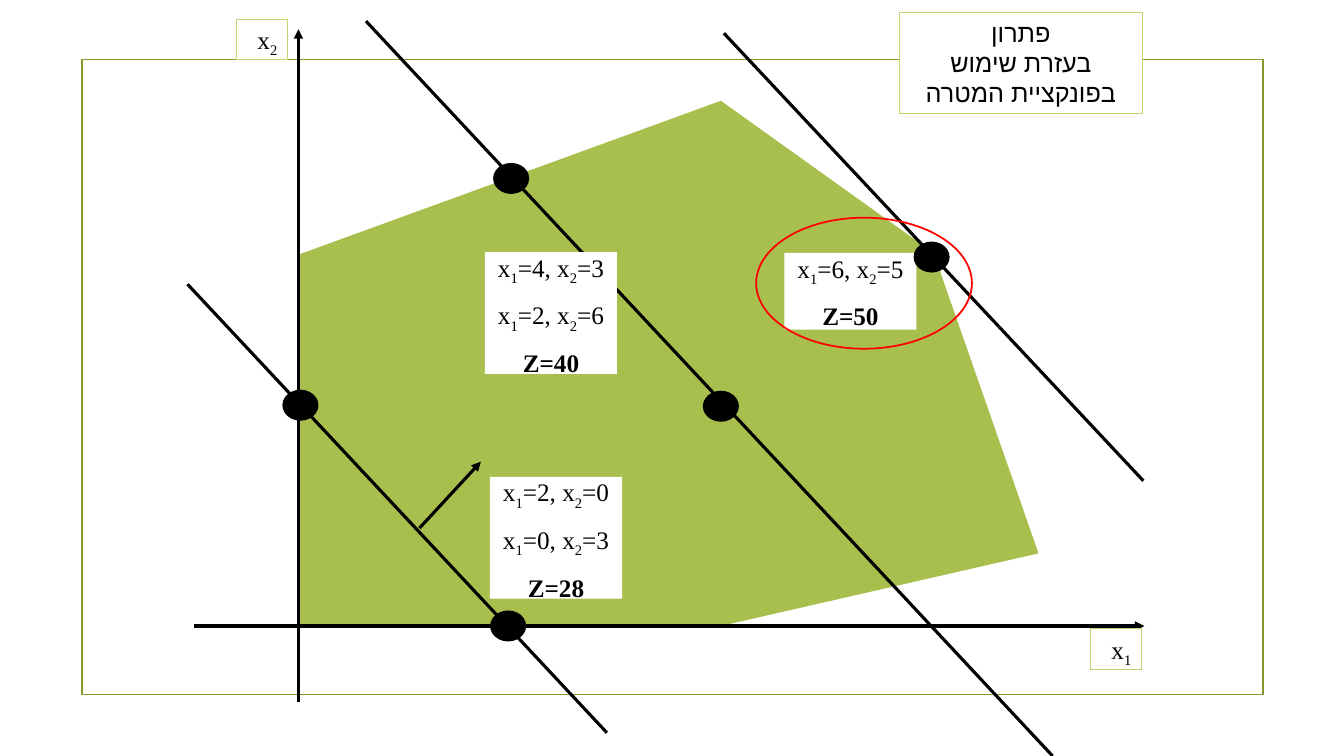
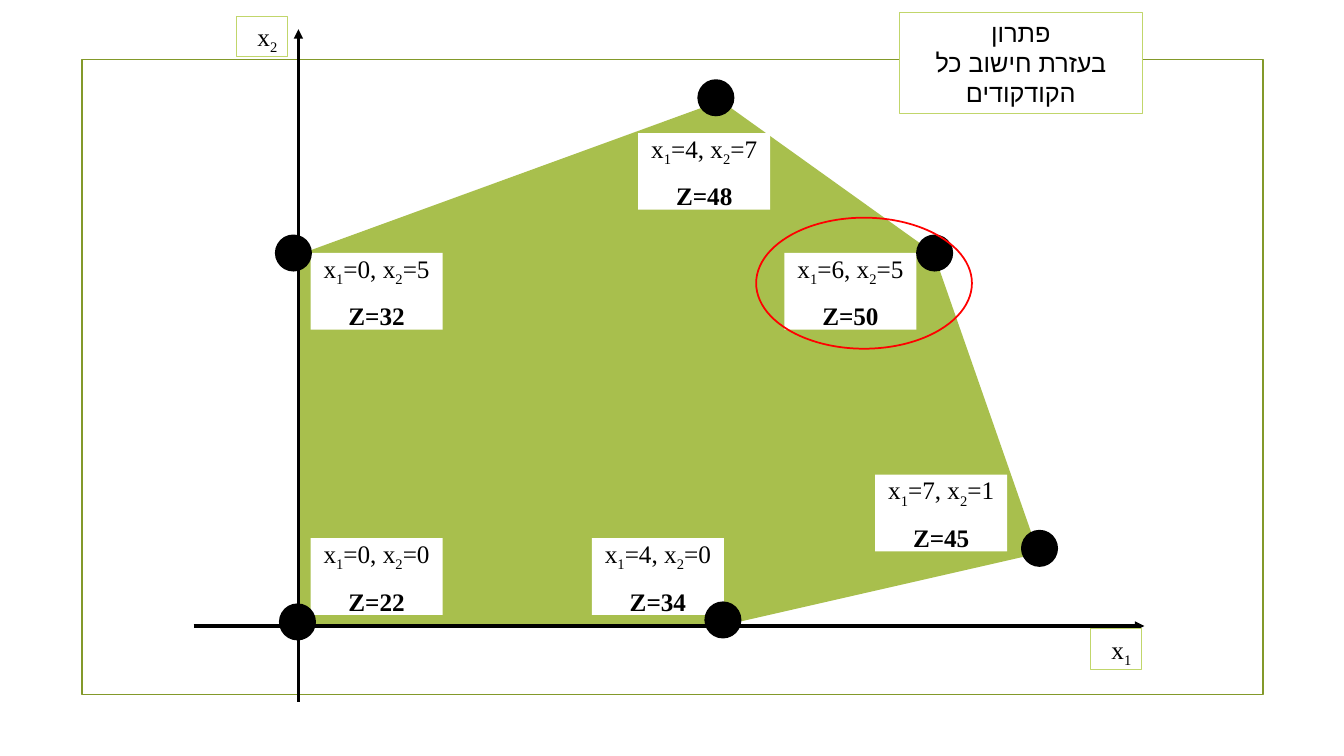
from dataclasses import dataclass

from lxml import etree
from pptx import Presentation
from pptx.dml.color import RGBColor
from pptx.enum.shapes import MSO_CONNECTOR, MSO_SHAPE
from pptx.enum.text import MSO_ANCHOR, MSO_AUTO_SIZE, PP_ALIGN
from pptx.oxml.ns import qn
from pptx.util import Inches, Pt

STRAIGHT = MSO_CONNECTOR.STRAIGHT
RECT, OVAL = MSO_SHAPE.RECTANGLE, MSO_SHAPE.OVAL
TOP, NO_FIT = MSO_ANCHOR.TOP, MSO_AUTO_SIZE.NONE
CENTER, RIGHT = PP_ALIGN.CENTER, PP_ALIGN.RIGHT


@dataclass(frozen=True)
class Theme:
    """Colours, fonts and sizes of the deck."""
    frame: str = "83992A"
    region: str = "A8BF4D"
    border: str = "C1D66B"
    ink: str = "000000"
    paper: str = "FFFFFF"
    highlight: str = "FF0000"
    math_font: str = "Times New Roman"
    title_font: str = "Arial"
    size: float = 18
    gap: float = 9.5
    hairline: float = 0.75
    outline: float = 1.25
    stroke: float = 2.25


@dataclass(frozen=True)
class Box:
    """A rectangle in inches."""
    left: float
    top: float
    width: float
    height: float

    def at(self, x, y):
        """Return a point of the box as slide lengths."""
        return Inches(self.left + x), Inches(self.top + y)


T = Theme()
FRAME = Box(0.81, 0.59, 11.72, 6.3)
TITLE = Box(8.92, 0.12, 2.41, 1.01)
PLOT = Box(1, 0, 11, 7.5)
FEASIBLE = [(1.95, 6.2), (1.95, 2.53), (6.15, 1), (8.26, 2.51), (9.3, 5.49), (6.15, 6.21)]
OPTIMUM = ((6.78, 2.51), [(6, 5)], 50)


def rgb(color):
    """Turn a hex string into a colour."""
    return RGBColor.from_string(color)


def paint(sp, fill=None, line=None, width=T.outline):
    """Set the fill and outline of a shape."""
    if fill:
        sp.fill.solid()
        sp.fill.fore_color.rgb = rgb(fill)
    else:
        sp.fill.background()
    if line:
        sp.line.color.rgb = rgb(line)
        sp.line.width = Pt(width)
    else:
        sp.line.fill.background()


def add_box(s, kind, box, x, y, w, h, **style):
    """Add a painted preset shape at a point of a box."""
    sp = s.shapes.add_shape(kind, *box.at(x, y), Inches(w), Inches(h))
    sp.shadow.inherit = False
    paint(sp, **style)
    return sp


def add_line(s, box, start, end, arrow=False):
    """Add a straight line, with an arrowhead if asked."""
    line = s.shapes.add_connector(STRAIGHT, *box.at(*start), *box.at(*end))
    line.line.color.rgb = rgb(T.ink)
    line.line.width = Pt(T.stroke)
    if arrow:
        etree.SubElement(line.line._get_or_add_ln(), qn("a:tailEnd"), type="triangle")
    etree.SubElement(line._element.spPr, qn("a:effectLst"))


def setup_text(sp, inset):
    """Prepare a text frame with the given vertical inset."""
    tf = sp.text_frame
    tf.word_wrap = True
    tf.auto_size = NO_FIT
    tf.vertical_anchor = TOP
    tf.margin_left = tf.margin_right = Inches(0.1)
    tf.margin_top = tf.margin_bottom = Inches(inset)
    return tf


def next_paragraph(tf, index, align):
    """Return the paragraph for an index, aligned."""
    p = tf.add_paragraph() if index else tf.paragraphs[0]
    p.alignment = align
    return p


def add_run(p, text, font=T.math_font, bold=False, sub=False):
    """Add one formatted run."""
    r = p.add_run()
    r.text = text
    r.font.name = font
    r.font.size = Pt(T.size)
    r.font.bold = bold
    r.font.color.rgb = rgb(T.ink)
    if sub:
        r.font._element.set("baseline", "-25000")
    return r


def add_variable(p, index, tail=""):
    """Add x with its subscript and what follows."""
    add_run(p, "x")
    add_run(p, str(index), sub=True)
    if tail:
        add_run(p, tail)


def add_frame(s):
    """Place the shared frame on the layout of a slide."""
    sp = add_box(s, RECT, FRAME, 0, 0, FRAME.width, FRAME.height, line=T.frame)
    s.slide_layout.shapes._spTree.append(sp._element)


def add_title(s, box, lines):
    """Fill and format the title placeholder."""
    sp = s.shapes.title
    sp.left, sp.top = box.at(0, 0)
    sp.width, sp.height = Inches(box.width), Inches(box.height)
    paint(sp, fill=T.paper, line=T.border, width=T.hairline)
    tf = setup_text(sp, 0.05)
    for i, text in enumerate(lines):
        p = next_paragraph(tf, i, CENTER)
        p._p.get_or_add_pPr().set("rtl", "1")
        r = add_run(p, text, T.title_font)
        etree.SubElement(r.font._element, qn("a:cs"), typeface=T.title_font)


def add_region(s, box):
    """Draw the feasible region and both axes."""
    points = [box.at(*point) for point in FEASIBLE]
    builder = s.shapes.build_freeform(*points[0])
    builder.add_line_segments(points[1:], close=True)
    sp = builder.convert_to_shape()
    sp.shadow.inherit = False
    paint(sp, fill=T.region)
    add_line(s, box, (0.92, 6.21), (10.35, 6.21), arrow=True)
    add_line(s, box, (1.96, 6.96), (1.96, 0.29), arrow=True)


def add_axis_names(s, box, x2_top):
    """Name the axes in bordered boxes."""
    for index, x, y in ((2, 1.35, x2_top), (1, 9.82, 6.24)):
        sp = add_box(s, RECT, box, x, y, 0.5, 0.4,
                     fill=T.paper, line=T.border, width=T.hairline)
        add_variable(next_paragraph(setup_text(sp, 0.05), 0, RIGHT), index)


def add_label(s, box, corner, solutions, z):
    """List solutions above their objective value."""
    sp = add_box(s, RECT, box, *corner, 1.31, 0.31 + 0.45 * len(solutions), fill=T.paper)
    tf = setup_text(sp, 0)
    for i, (x1, x2) in enumerate(solutions):
        p = next_paragraph(tf, i, CENTER)
        if i:
            p.space_before = Pt(T.gap)
        add_variable(p, 1, f"={x1}, ")
        add_variable(p, 2, f"={x2}")
    p = next_paragraph(tf, len(solutions), CENTER)
    p.space_before = Pt(T.gap)
    add_run(p, f"Z={z}", bold=True)


def add_dots(s, box, centers, w, h):
    """Mark points with black dots."""
    for x, y in centers:
        add_box(s, OVAL, box, x - w / 2, y - h / 2, w, h, fill=T.ink, line=T.ink)


def add_plot(s, box, labels, dots, dot_size, x2_top, lines=()):
    """Draw the whole graph inside a box."""
    add_region(s, box)
    for line in lines:
        add_line(s, box, *line)
    add_axis_names(s, box, x2_top)
    for label in (OPTIMUM, *labels):
        add_label(s, box, *label)
    add_dots(s, box, dots, *dot_size)
    add_box(s, OVAL, box, 6.5, 2.16, 2.14, 1.3, line=T.highlight)


def main():
    """Build and save the deck."""
    prs = Presentation()
    prs.slide_width, prs.slide_height = Inches(13.33), Inches(7.5)
    layout = prs.slide_layouts[5]

    s = prs.slides.add_slide(layout)
    add_frame(s)
    add_title(s, TITLE, ["פתרון", "בעזרת שימוש בפונקציית המטרה"])
    add_plot(
        s, PLOT,
        labels=[((3.86, 4.73), [(2, 0), (0, 3)], 28),
                ((3.81, 2.5), [(4, 3), (2, 6)], 40)],
        dots=[(6.15, 4.03), (4.04, 6.21), (1.98, 4.02), (4.07, 1.77), (8.24, 2.55)],
        dot_size=(0.34, 0.29),
        x2_top=0.19,
        lines=[((0.86, 2.82), (5.02, 7.27)),
               ((6.18, 0.33), (10.34, 4.77)),
               ((3.16, 5.24), (3.77, 4.58), True),
               ((2.63, 0.21), (9.44, 7.5))])

    s = prs.slides.add_slide(layout)
    add_title(s, TITLE, ["פתרון", "בעזרת חישוב כל הקודקודים"])
    add_plot(
        s, PLOT,
        labels=[((5.33, 1.32), [(4, 7)], 48),
                ((2.08, 2.51), [(0, 5)], 32),
                ((2.08, 5.34), [(0, 0)], 22),
                ((7.68, 4.71), [(7, 1)], 45),
                ((4.87, 5.34), [(4, 0)], 34)],
        dots=[(1.91, 2.51), (6.1, 0.97), (1.95, 6.17), (6.17, 6.15), (8.27, 2.51), (9.31, 5.44)],
        dot_size=(0.35, 0.35),
        x2_top=0.16)

    prs.save("out.pptx")


if __name__ == "__main__":
    main()
